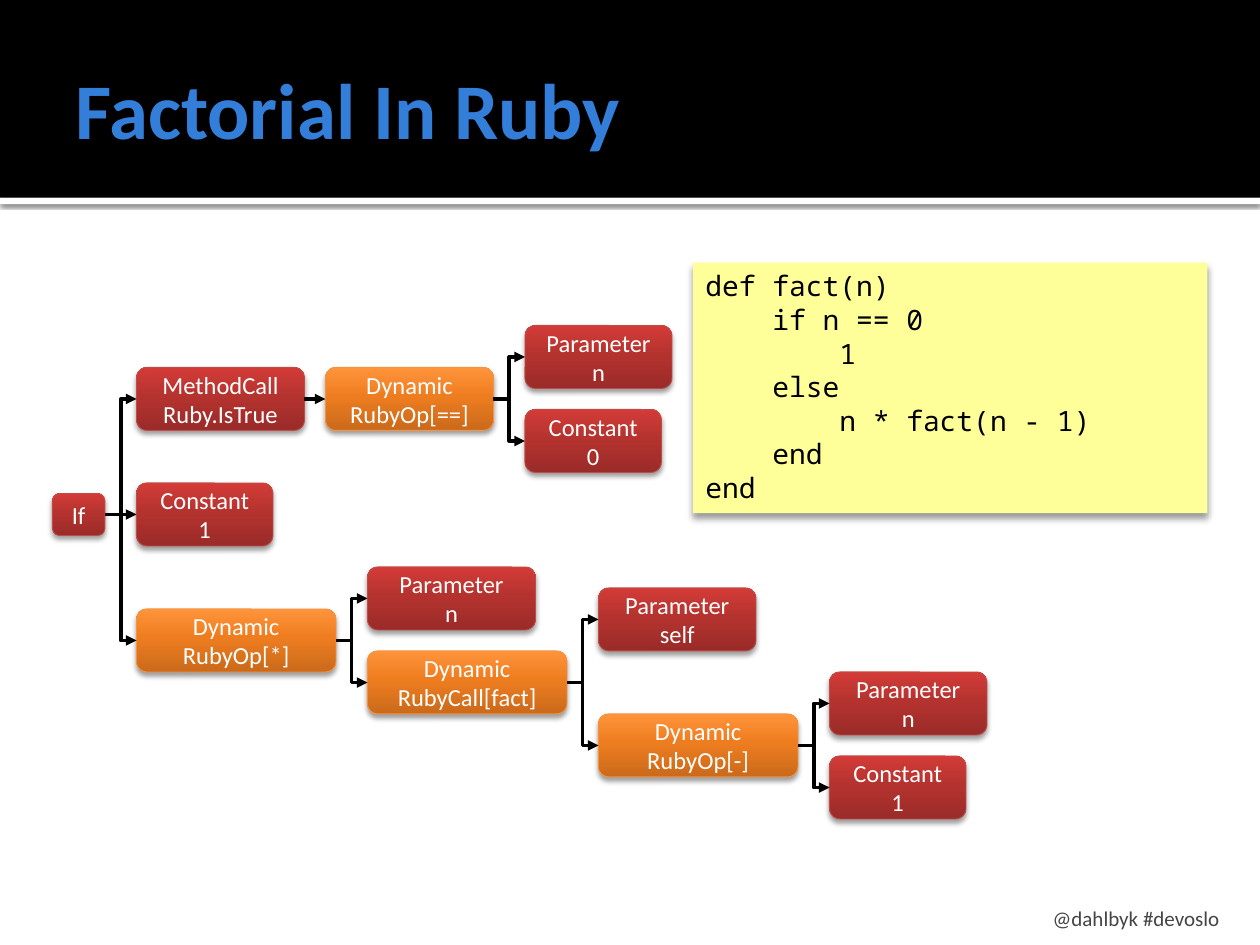
from copy import deepcopy
from dataclasses import dataclass

from lxml.etree import SubElement
from pptx import Presentation
from pptx.dml.color import RGBColor
from pptx.enum.shapes import MSO_CONNECTOR as Link, MSO_SHAPE as Preset
from pptx.enum.text import MSO_ANCHOR as Anchor, PP_ALIGN as Align
from pptx.oxml.ns import qn
from pptx.util import Cm, Pt

RED = {"stops": ("9A2B28", "B5332F", "D33B37"), "line": "BF4C48"}
ORANGE = {"stops": ("CA6A1B", "EE7D20", "FF943B"), "line": "F69240"}
STOP_POSITIONS = (0, 0.55, 1)
LEFT_SITE, RIGHT_SITE = 1, 3

CODE = (
    (0, "def fact(n)"),
    (1, "if n == 0"),
    (2, "1"),
    (1, "else"),
    (2, "n * fact(n - 1)"),
    (1, "end"),
    (0, "end"),
)


@dataclass
class Node:
    """One expression: middle and width are in grid units."""
    lines: tuple
    middle: float
    width: float
    children: tuple = ()
    height: float = 6

    @property
    def colours(self):
        return ORANGE if self.lines[0] == "Dynamic" else RED


MINUS = Node(("Dynamic", "RubyOp[-]"), 71, 19, (
    Node(("Parameter", "n"), 67, 15),
    Node(("Constant", "1"), 75, 13),
))
CALL = Node(("Dynamic", "RubyCall[fact]"), 65, 19, (
    Node(("Parameter", "self"), 59, 15),
    MINUS,
))
TIMES = Node(("Dynamic", "RubyOp[*]"), 61, 19, (
    Node(("Parameter", "n"), 57, 16),
    CALL,
))
EQUALS = Node(("Dynamic", "RubyOp[==]"), 38, 16, (
    Node(("Parameter", "n"), 34, 14),
    Node(("Constant", "0"), 42, 13),
))
TREE = Node(("If",), 49, 5, (
    Node(("MethodCall", "Ruby.IsTrue"), 38, 16, (EQUALS,)),
    Node(("Constant", "1"), 49, 13),
    TIMES,
), height=4)


def grid(units):
    """Length of grid units, twelve to the inch."""
    return Cm(units * 2.54 / 12)


def colour(value):
    return RGBColor.from_string(value)


def apply(target, values):
    for name, value in values.items():
        setattr(target, name, value)


class Painter:
    body_font = "Calibri"
    code_font = "Noto Sans Mono"
    code_indent = Cm(1.35)
    frame = {
        "word_wrap": True,
        "margin_left": Cm(0.25),
        "margin_right": Cm(0.25),
        "margin_top": Cm(0.13),
        "margin_bottom": Cm(0.13),
    }

    def __init__(self, slide):
        self.shapes = slide.shapes

    def text(self, box, lines, font, ink, align=Align.LEFT, **frame):
        """Write (indent level, wording) pairs into a shape."""
        body = box.text_frame
        apply(body, self.frame | frame)
        for index, (level, wording) in enumerate(lines):
            para = body.add_paragraph() if index else body.paragraphs[0]
            para.alignment = align
            if level:
                para._p.get_or_add_pPr().set("marL", str(level * self.code_indent))
            span = para.add_run()
            span.text = wording
            apply(span.font, {"name": self.body_font} | font)
            span.font.color.rgb = colour(ink)

    def label(self, area, wording, font, ink, **layout):
        box = self.shapes.add_textbox(*map(grid, area))
        self.text(box, [(0, wording)], font, ink, **layout)

    def panel(self, area, fill, preset=Preset.RECTANGLE):
        panel = self.shapes.add_shape(preset, *map(grid, area))
        panel.shadow.inherit = False
        panel.line.fill.background()
        panel.fill.solid()
        panel.fill.fore_color.rgb = colour(fill)
        return panel

    def shadow(self, shape, opacity, blur, distance):
        effects = shape._element.spPr.find(qn("a:effectLst"))
        outer = SubElement(effects, qn("a:outerShdw"), blurRad=str(Pt(blur)),
                           dist=str(Pt(distance)), dir="5400000", rotWithShape="0")
        black = SubElement(outer, qn("a:srgbClr"), val="000000")
        SubElement(black, qn("a:alpha"), val=str(opacity * 1000))

    def gradient(self, shape, colours):
        shape.fill.gradient()
        shape.fill.gradient_angle = 90
        stops = shape._element.spPr.find(qn("a:gradFill")).find(qn("a:gsLst"))
        stops.append(deepcopy(stops[0]))
        for stop, place, value in zip(shape.fill.gradient_stops, STOP_POSITIONS, colours):
            stop.position = place
            stop.color.rgb = colour(value)

    def code(self, area, lines):
        panel = self.panel(area, "FFFF99")
        self.shadow(panel, 40, 4, 3)
        self.text(panel, lines, {"name": self.code_font, "size": Pt(16)}, "000000",
                  vertical_anchor=Anchor.TOP)

    def node(self, node, left):
        area = (left, node.middle - node.height / 2, node.width, node.height)
        box = self.panel(area, node.colours["line"], Preset.ROUNDED_RECTANGLE)
        self.gradient(box, node.colours["stops"])
        box.line.color.rgb = colour(node.colours["line"])
        box.line.width = Pt(0.5)
        self.shadow(box, 38, 3.1, 2)
        self.text(box, [(0, line) for line in node.lines], {"size": Pt(14)}, "FFFFFF",
                  Align.CENTER, vertical_anchor=Anchor.MIDDLE)
        return box

    def arrow(self, parent, child, kind):
        arrow = self.shapes.add_connector(kind, 0, 0, 0, 0)
        arrow.begin_connect(parent, RIGHT_SITE)
        arrow.end_connect(child, LEFT_SITE)
        arrow.line.color.rgb = colour("000000")
        arrow.line.width = Pt(2)
        SubElement(arrow.line._get_or_add_ln(), qn("a:tailEnd"), type="triangle")
        SubElement(arrow._element.spPr, qn("a:effectLst"))

    def tree(self, node, left):
        """Draw a node, its branches to the right and the arrows to them."""
        box = self.node(node, left)
        gap = 3 if len(node.children) > 1 else 2
        for child in node.children:
            child_box = self.tree(child, left + node.width + gap)
            level = child.middle == node.middle
            self.arrow(box, child_box, Link.STRAIGHT if level else Link.ELBOW)
        return box


def main():
    deck = Presentation()
    deck.slide_width, deck.slide_height = grid(120), grid(90)
    painter = Painter(deck.slides.add_slide(deck.slide_layouts[6]))

    divider = painter.panel((0, 18.84, 120, 0.6), "FFFFFF")
    painter.shadow(divider, 60, 2.5, 0.8)
    painter.panel((0, 0, 120, 18.84), "000000")
    painter.label((6, 2.04, 108, 16.44), "Factorial In Ruby",
                  {"size": Pt(45), "bold": True}, "337ED9",
                  vertical_anchor=Anchor.MIDDLE, margin_right=Cm(0.13))
    painter.code((66, 25, 49, 23.88), CODE)
    painter.tree(TREE, 5)
    painter.label((86, 85, 31.32, 3.6), "@dahlbyk #devoslo", {"size": Pt(12)}, "454545",
                  align=Align.RIGHT, vertical_anchor=Anchor.BOTTOM, margin_bottom=0)
    deck.save("out.pptx")


if __name__ == "__main__":
    main()
